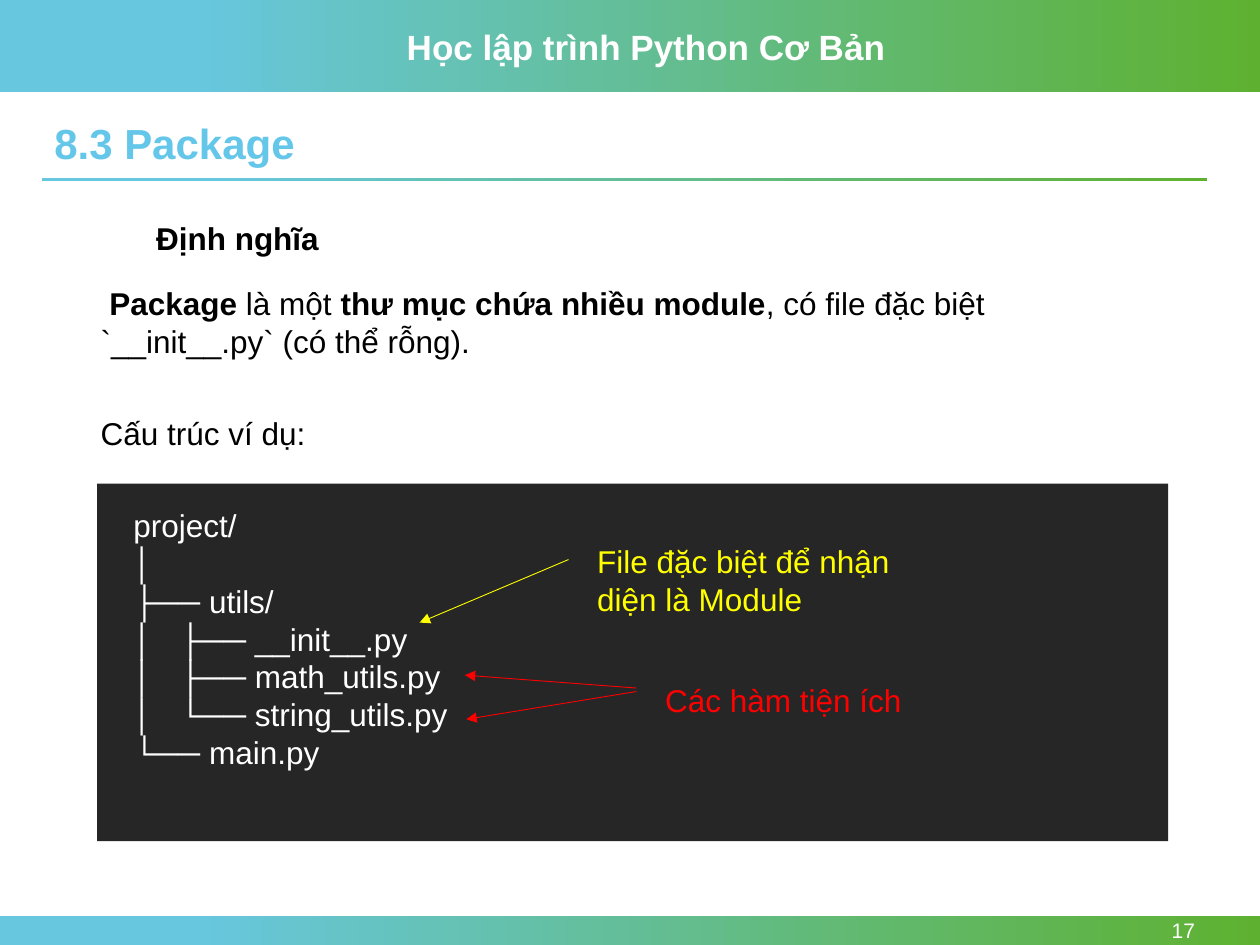
from pptx import Presentation
from pptx.dml.color import RGBColor
from pptx.enum.shapes import MSO_CONNECTOR as Link, MSO_SHAPE as Shape
from pptx.enum.text import MSO_ANCHOR as Anchor, PP_ALIGN as Align
from pptx.oxml.ns import qn
from pptx.util import Cm, Pt
from lxml.etree import SubElement

WIDE, HIGH = 25.4, 19.05
BLACK, WHITE, DARK = "000000", "FFFFFF", "262626"
BLUE, RED, YELLOW = "64C7E9", "FF0000", "FFFF00"
BLEND = ((0.15, "67C7DF"), (1, "5EB130"))
TREE = (
    "project/",
    "│",
    "├── utils/",
    "│   ├── __init__.py",
    "│   ├── math_utils.py",
    "│   └── string_utils.py",
    "└── main.py",
)


def color(code):
    return RGBColor.from_string(code)


def style(para, size, code, bold=None):
    font = para.font
    font.name, font.size, font.bold = "Arial", Pt(size), bold
    font.color.rgb = color(code)


def rect(slide, box):
    shape = slide.shapes.add_shape(Shape.RECTANGLE, *map(Cm, box))
    shape.shadow.inherit = False
    shape.line.fill.background()
    return shape


def band(slide, box):
    """Draw a bar that fades from blue to green."""
    fill = rect(slide, box).fill
    fill.gradient()
    fill.gradient_angle = 0
    for stop, (place, code) in zip(fill.gradient_stops, BLEND):
        stop.position = place
        stop.color.rgb = color(code)


def label(slide, box, lines, code, size=18, bold=None):
    """Add a text box; a line is a list of (text, bold) runs or a string."""
    frame = slide.shapes.add_textbox(*map(Cm, box)).text_frame
    frame.word_wrap = True
    for i, line in enumerate(lines):
        para = frame.add_paragraph() if i else frame.paragraphs[0]
        style(para, size, code, bold)
        if isinstance(line, str):
            para.add_run().text = line
            continue
        for text, heavy in line:
            run = para.add_run()
            run.text, run.font.bold = text, heavy
    return frame


def arrow(slide, start, end, code):
    link = slide.shapes.add_connector(Link.STRAIGHT, *map(Cm, start + end))
    link.line.color.rgb = color(code)
    link.line.width = Pt(0.5)
    SubElement(link.line._get_or_add_ln(), qn("a:tailEnd"), type="triangle")
    SubElement(link._element.spPr, qn("a:effectLst"))


def header(slide, box):
    left, top, wide, high = box
    band(slide, box)
    label(slide, (left + 7.95, top + 0.38, 10.16, 1.11),
          ["Học lập trình Python Cơ Bản"], WHITE, 20, True)


def footer(slide, box):
    left, top, wide, high = box
    band(slide, box)
    frame = label(slide, (left + wide - 3.4, top, 2.34, high),
                  ["17"], WHITE, 12)
    frame.vertical_anchor = Anchor.MIDDLE
    frame.paragraphs[0].alignment = Align.RIGHT


def heading(slide, box):
    left, top, wide, high = box
    title = slide.shapes.title
    title.left, title.top, title.width, title.height = map(
        Cm, (left, top, wide, 1.17))
    frame = title.text_frame
    frame.text = "8.3 Package"
    frame.vertical_anchor = Anchor.MIDDLE
    para = frame.paragraphs[0]
    para.alignment, para.line_spacing = Align.LEFT, 0.9
    style(para, 24, BLUE, True)
    band(slide, (left, top + high - 0.08, wide, 0.08))


def intro(slide, box):
    left, top, wide, high = box
    label(slide, (left + 1.12, top, 17.86, 1.02), ["Định nghĩa"],
          BLACK, bold=True)
    label(slide, (left, top + 1.32, wide, 1.8), [[
        (" Package ", True),
        ("là một ", False),
        ("thư mục chứa nhiều module", True),
        (", có file đặc biệt `__init__.py` (có thể rỗng).", False),
    ]], BLACK)
    label(slide, (left, top + high - 1.02, wide, 1.02),
          ["Cấu trúc ví dụ:"], BLACK)


def panel(slide, box):
    """Show the folder tree on a dark panel, with notes and arrows."""
    left, top, wide, high = box
    fill = rect(slide, box).fill
    fill.solid()
    fill.fore_color.rgb = color(DARK)
    label(slide, (left + 0.48, top + 0.33, 20.57, 5.64), TREE, WHITE)

    notes = (
        ("Các hàm tiện ích", RED, (11.2, 3.86, 6.83, 1.02),
         (((10.87, 4.12), (7.41, 3.86)), ((10.87, 4.19), (7.44, 4.75)))),
        ("File đặc biệt để nhận diện là Module", YELLOW,
         (9.83, 1.05, 6.83, 1.8), (((9.5, 1.53), (6.5, 2.8)),)),
    )
    for text, code, (x, y, w, h), lines in notes:
        for ends in lines:
            start, end = ((left + a, top + b) for a, b in ends)
            arrow(slide, start, end, code)
        label(slide, (left + x, top + y, w, h), [text], code)


def main():
    deck = Presentation()
    deck.slide_width, deck.slide_height = Cm(WIDE), Cm(HIGH)
    slide = deck.slides.add_slide(deck.slide_layouts.get_by_name("Title Only"))
    header(slide, (0, 0, WIDE, 1.85))
    footer(slide, (0, HIGH - 0.58, WIDE, 0.58))
    heading(slide, (0.84, 2.36, 23.5, 1.3))
    intro(slide, (1.78, 4.29, 21.39, 4.96))
    panel(slide, (1.96, 9.75, 21.59, 7.21))
    deck.save("out.pptx")


if __name__ == "__main__":
    main()
